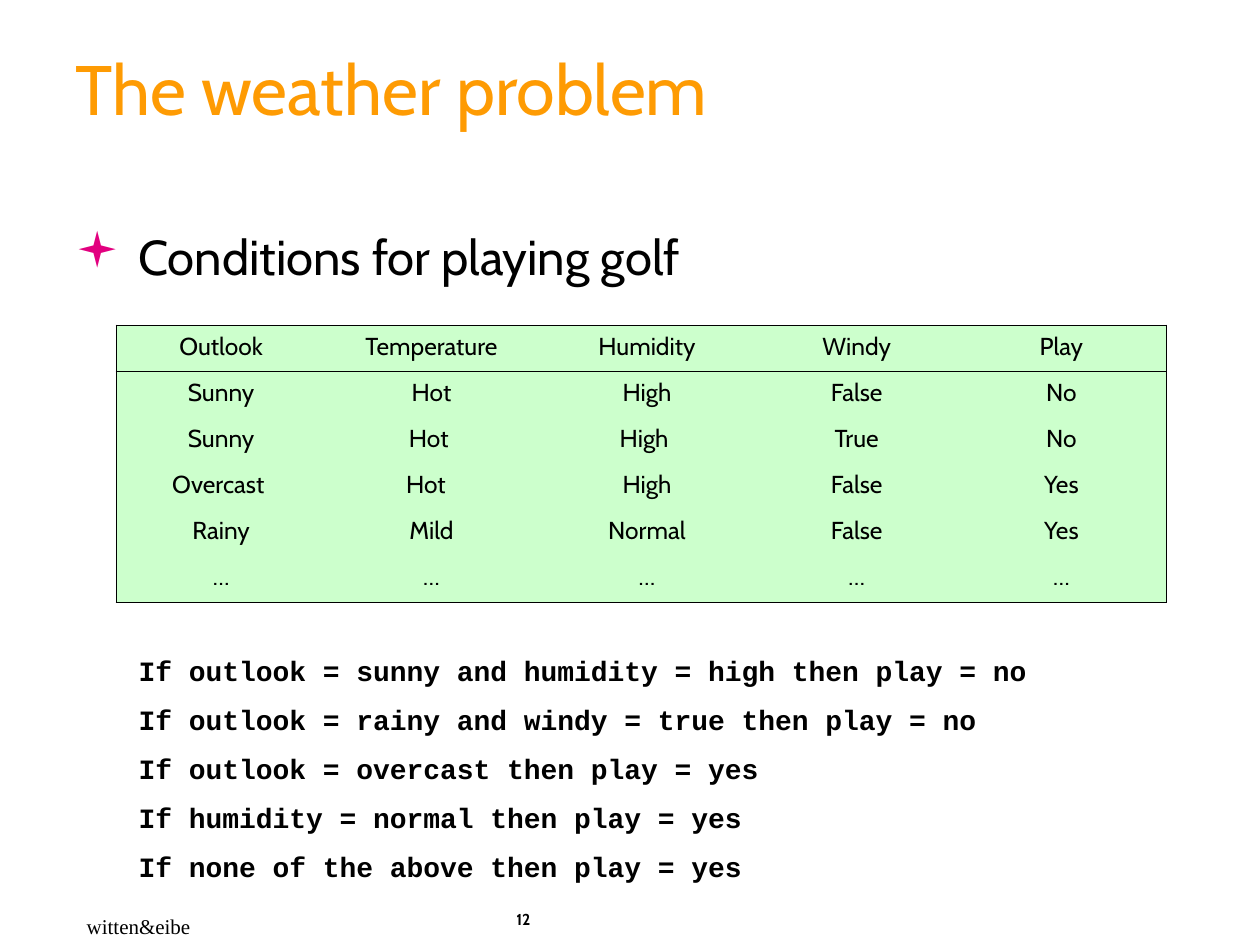
from lxml.etree import SubElement
from pptx import Presentation
from pptx.dml.color import RGBColor
from pptx.enum.text import MSO_ANCHOR, PP_ALIGN
from pptx.oxml.ns import qn
from pptx.util import Inches, Pt

BLACK = "000000"
ORANGE = "FE9B03"
PINK = "E2007F"
PALE_GREEN = "CCFFCC"

WEATHER = [
    ["Outlook", "Temperature", "Humidity", "Windy", "Play"],
    ["Sunny", "Hot", "High", "False", "No"],
    ["Sunny", "Hot ", "High ", "True", "No"],
    ["Overcast ", "Hot  ", "High", "False", "Yes"],
    ["Rainy", "Mild", "Normal", "False", "Yes"],
    ["…"] * 5,
]
COLUMN_WIDTHS = [1.67, 1.67, 1.75, 1.58, 1.67]
RULES = [
    "If outlook = sunny and humidity = high then play = no",
    "If outlook = rainy and windy = true then play = no",
    "If outlook = overcast then play = yes",
    "If humidity = normal then play = yes",
    "If none of the above then play = yes",
]


def color(hex_string):
    return RGBColor.from_string(hex_string)


def add_run(paragraph, text, size, font="Cabin", ink=BLACK, bold=False):
    run = paragraph.add_run()
    run.text = text
    run.font.name = font
    run.font.size = Pt(size)
    run.font.bold = bold
    run.font.color.rgb = color(ink)


def add_text_box(slide, box):
    """Add a wrapping text box and return its frame."""
    shape = slide.shapes.add_textbox(*map(Inches, box))
    shape.text_frame.word_wrap = True
    return shape.text_frame


def add_plain_table(slide, box, row_count, column_widths):
    """Add a table without header or banding and return it."""
    frame = slide.shapes.add_table(row_count, len(column_widths), *map(Inches, box))
    table = frame.table
    table.first_row = False
    table.horz_banding = False
    for column, width in zip(table.columns, column_widths):
        column.width = Inches(width)
    return table


def set_borders(cell, drawn_sides):
    """Draw thin lines on the named sides (L, R, T, B) and clear the others."""
    properties = cell._tc.get_or_add_tcPr()
    for side in "LRTB":
        line = SubElement(properties, qn(f"a:ln{side}"), w=str(Pt(0.45)))
        if side in drawn_sides:
            fill = SubElement(line, qn("a:solidFill"))
            SubElement(fill, qn("a:srgbClr"), val=BLACK)
        else:
            SubElement(line, qn("a:noFill"))


def add_title(slide, box):
    text_frame = add_text_box(slide, box)
    text_frame.vertical_anchor = MSO_ANCHOR.MIDDLE
    paragraph = text_frame.paragraphs[0]
    paragraph.line_spacing = 0.85
    add_run(paragraph, "The weather problem", 40, ink=ORANGE)


def add_body(slide, box):
    paragraph = add_text_box(slide, box).paragraphs[0]
    paragraph.space_before = Pt(17.5)
    # Square bullet with a hanging indent
    properties = paragraph._p.get_or_add_pPr()
    properties.set("marL", str(Inches(0.5)))
    properties.set("indent", str(-Inches(0.5)))
    bullet_color = SubElement(properties, qn("a:buClr"))
    SubElement(bullet_color, qn("a:srgbClr"), val=PINK)
    SubElement(properties, qn("a:buFont"), typeface="Wingdings", charset="2")
    SubElement(properties, qn("a:buChar"), char="▪")
    add_run(paragraph, "Conditions for playing golf", 28)


def add_weather_table(slide, box):
    table = add_plain_table(slide, box, len(WEATHER), COLUMN_WIDTHS)
    last_row, last_column = len(WEATHER) - 1, len(COLUMN_WIDTHS) - 1
    for row, values in enumerate(WEATHER):
        for column, value in enumerate(values):
            cell = table.cell(row, column)
            # Outer frame, and a line under the header
            sides = "L" if column == 0 else "R" if column == last_column else ""
            sides += "T" if row <= 1 else ""
            sides += "B" if row in (0, last_row) else ""
            set_borders(cell, sides)
            cell.fill.solid()
            cell.fill.fore_color.rgb = color(PALE_GREEN)
            paragraph = cell.text_frame.paragraphs[0]
            paragraph.alignment = PP_ALIGN.CENTER
            paragraph.space_before = Pt(8.8)
            add_run(paragraph, value, 14)


def add_rules(slide, box):
    cell = add_plain_table(slide, box, 1, [box[2]]).cell(0, 0)
    set_borders(cell, "")
    cell.fill.background()
    text_frame = cell.text_frame
    for index, rule in enumerate(RULES):
        paragraph = text_frame.add_paragraph() if index else text_frame.paragraphs[0]
        paragraph.space_before = Pt(10)
        add_run(paragraph, rule, 16, font="Courier New", bold=True)


def add_footer(slide, credit_box, number_box):
    credit = add_text_box(slide, credit_box)
    add_run(credit.paragraphs[0], "witten&eibe", 12, font="Times New Roman")
    number = add_text_box(slide, number_box)
    add_run(number.paragraphs[0], "12", 9, bold=True)


def main():
    presentation = Presentation()
    presentation.slide_width = Inches(10)
    presentation.slide_height = Inches(7.5)
    slide = presentation.slides.add_slide(presentation.slide_layouts[6])
    add_title(slide, (0.5, 0.25, 9.08, 1))
    add_body(slide, (0.5, 1.75, 9.08, 5.17))
    add_weather_table(slide, (0.92, 2.58, 8.33, 2.2))
    add_rules(slide, (1, 5.17, 8.33, 1.97))
    # The credit box is wide enough to keep its text on one line
    add_footer(slide, (0.59, 7.2, 1.2, 0.3), (4, 7.17, 1.02, 0.33))
    presentation.save("out.pptx")


if __name__ == "__main__":
    main()
